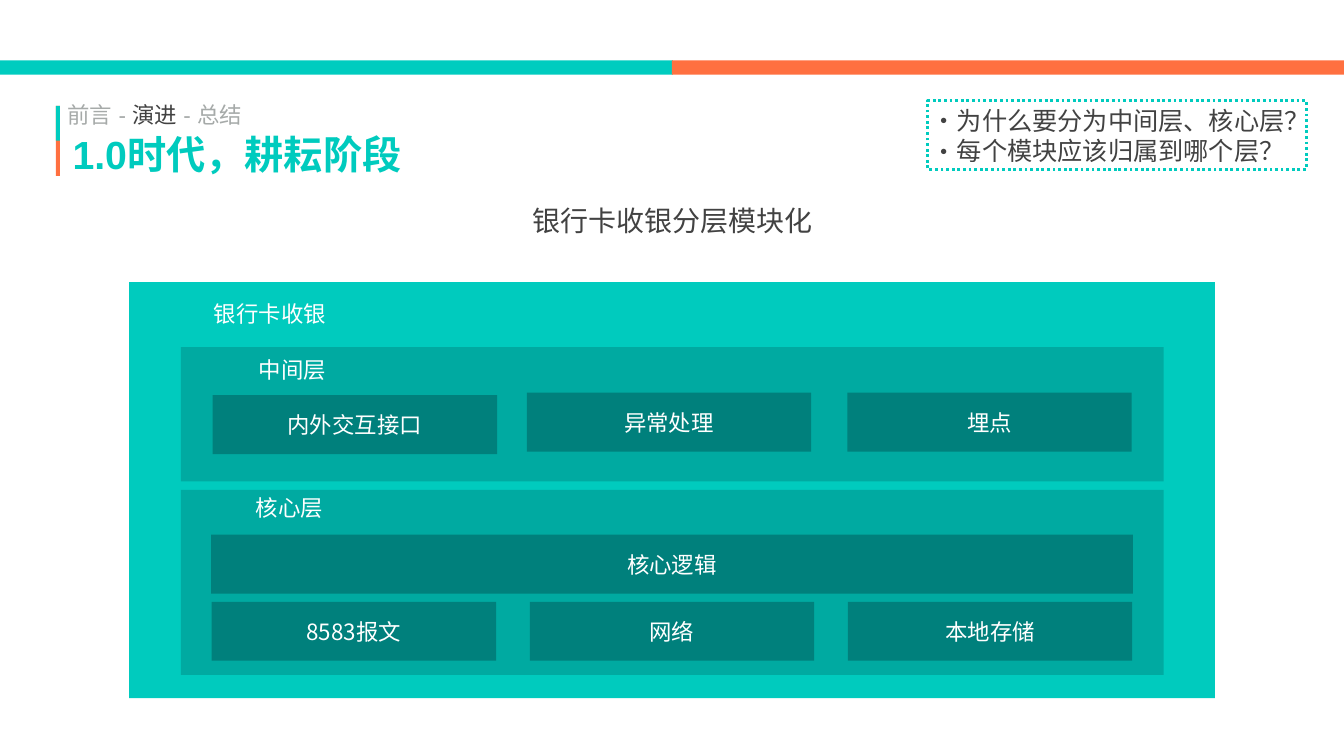
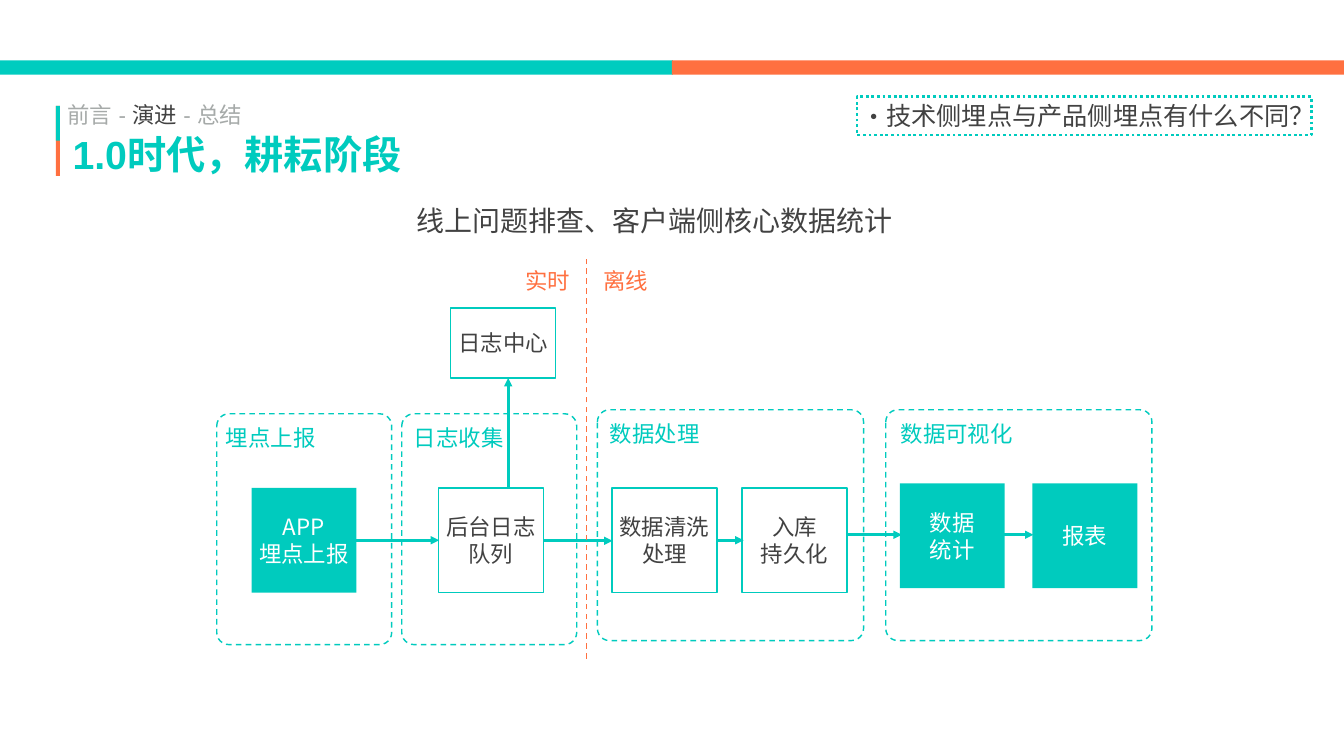
from lxml import etree
from pptx import Presentation
from pptx.dml.color import RGBColor
from pptx.enum.dml import MSO_LINE
from pptx.enum.shapes import MSO_CONNECTOR, MSO_SHAPE
from pptx.enum.text import MSO_ANCHOR, MSO_AUTO_SIZE, PP_ALIGN
from pptx.oxml.ns import qn
from pptx.util import Inches, Pt

RECT, ROUNDED = MSO_SHAPE.RECTANGLE, MSO_SHAPE.ROUNDED_RECTANGLE
STRAIGHT = MSO_CONNECTOR.STRAIGHT
DASH, DOTS = MSO_LINE.DASH, MSO_LINE.ROUND_DOT
LEFT, CENTER = PP_ALIGN.LEFT, PP_ALIGN.CENTER
TOP, MIDDLE = MSO_ANCHOR.TOP, MSO_ANCHOR.MIDDLE
FIT_TEXT = MSO_AUTO_SIZE.SHAPE_TO_FIT_TEXT

WIDTH, HEIGHT = 26.66, 15
BAND_TEAL, TEAL, MID_TEAL, DARK_TEAL = "00CCBF", "00CBBE", "00AAA1", "00807C"
ORANGE, GRAY, INK, WHITE = "FF7040", "A6AAA9", "424242", "FFFFFF"
HEADER_FONT, BODY_FONT = "Arial", "Noto Sans CJK SC"


def rgb(color):
    return RGBColor.from_string(color)


class Deck:
    def __init__(self):
        self.prs = Presentation()
        self.prs.slide_width = Inches(WIDTH)
        self.prs.slide_height = Inches(HEIGHT)
        self.slide = None

    def new_slide(self, subtitle, subtitle_box):
        self.slide = self.prs.slides.add_slide(self.prs.slide_layouts[6])
        half = WIDTH / 2
        self.box(0, 1.2, half + 0.02, 0.28, BAND_TEAL)
        self.box(half, 1.2, half, 0.28, ORANGE)
        self.breadcrumb()
        self.text(1.36, 2.51, 7.2, 1.09, "1.0时代，耕耘阶段", TEAL, 56,
                  HEADER_FONT, LEFT, TOP, bold=True)
        self.box(1.11, 2.1, 0.08, 1.39, ORANGE)
        self.box(1.11, 2.1, 0.08, 0.69, BAND_TEAL)
        self.text(*subtitle_box, subtitle, INK, 40)

    def breadcrumb(self):
        frame = self.text(1.26, 1.92, 4.05, 0.69, "", GRAY, 32, HEADER_FONT, LEFT, TOP)
        for part, color in (("前言 - ", GRAY), ("演进 ", INK), ("- 总结", GRAY)):
            run = frame.paragraphs[0].add_run()
            run.text = part
            run.font.color.rgb = rgb(color)

    def style_text(self, shape, text, color, size=32, font=BODY_FONT, align=CENTER,
                   anchor=MIDDLE, wrap=True, bold=False, bullets=False):
        frame = shape.text_frame
        frame.margin_left = frame.margin_right = Inches(0.08)
        frame.margin_top = frame.margin_bottom = Inches(0.08)
        frame.vertical_anchor = anchor
        frame.word_wrap = wrap
        if not wrap:
            frame.auto_size = FIT_TEXT
        frame.text = text
        for paragraph in frame.paragraphs:
            paragraph.alignment = align
            if bullets:
                self.bullet(paragraph, color)
            paragraph.font.name = font
            paragraph.font.size = Pt(size)
            paragraph.font.bold = bold
            paragraph.font.color.rgb = rgb(color)
            latin = paragraph._p.pPr.find(".//" + qn("a:latin"))
            east_asian = etree.Element(qn("a:ea"), typeface=font)
            latin.addnext(east_asian)
        return frame

    def bullet(self, paragraph, color):
        properties = paragraph._p.get_or_add_pPr()
        properties.set("marL", str(Inches(0.35)))
        properties.set("indent", str(Inches(-0.35)))
        bullet_color = etree.SubElement(properties, qn("a:buClr"))
        etree.SubElement(bullet_color, qn("a:srgbClr"), val=color)
        etree.SubElement(properties, qn("a:buFont"), typeface=BODY_FONT)
        etree.SubElement(properties, qn("a:buChar"), char="•")

    def text(self, left, top, width, height, text, color, size=32, font=BODY_FONT,
             align=CENTER, anchor=MIDDLE, wrap=False, bold=False):
        label = self.slide.shapes.add_textbox(
            Inches(left), Inches(top), Inches(width), Inches(height))
        return self.style_text(label, text, color, size, font, align, anchor, wrap, bold)

    def box(self, left, top, width, height, fill=None, text="", color=WHITE,
            line=None, weight=2, dash=None, kind=RECT):
        shape = self.slide.shapes.add_shape(
            kind, Inches(left), Inches(top), Inches(width), Inches(height))
        shape.shadow.inherit = False
        if fill:
            shape.fill.solid()
            shape.fill.fore_color.rgb = rgb(fill)
        else:
            shape.fill.background()
        if line:
            shape.line.color.rgb = rgb(line)
            shape.line.width = Pt(weight)
            if dash:
                shape.line.dash_style = dash
        else:
            shape.line.fill.background()
        if text:
            self.style_text(shape, text, color)
        return shape

    def stage(self, left, top, width, height):
        frame = self.box(left, top, width, height, WHITE, line=TEAL, dash=DASH, kind=ROUNDED)
        frame.adjustments[0] = 0.24 / min(width, height)

    def step(self, left, top, text, filled=False, height=2.08):
        if filled:
            self.box(left, top, 2.08, height, TEAL, text)
        else:
            self.box(left, top, 2.08, height, WHITE, text, INK, line=TEAL)

    def questions(self, left, top, width, height, text):
        callout = self.box(left, top, width, height, line=TEAL, weight=4, dash=DOTS)
        self.style_text(callout, text, INK, 36, align=LEFT, wrap=False, bullets=True)

    def connect(self, x1, y1, x2, y2, color=TEAL, weight=4, dash=None, arrow=True):
        link = self.slide.shapes.add_connector(
            STRAIGHT, Inches(x1), Inches(y1), Inches(x2), Inches(y2))
        link.line.color.rgb = rgb(color)
        link.line.width = Pt(weight)
        if dash:
            link.line.dash_style = dash
        if arrow:
            etree.SubElement(link.line._get_or_add_ln(), qn("a:tailEnd"), type="triangle")
        etree.SubElement(link._element.spPr, qn("a:effectLst"))


def layered_modules(deck):
    deck.new_slide("银行卡收银分层模块化", (10.38, 3.97, 5.91, 0.82))
    deck.box(2.56, 5.6, 21.54, 8.25, TEAL)
    for top, height in ((9.72, 3.67), (6.89, 2.66)):
        deck.box(3.59, top, 19.49, height, MID_TEAL)
    for left, top, width, height, name in (
        (3.43, 5.7, 3.85, 1.04, "银行卡收银"),
        (4.17, 6.86, 3.26, 0.96, "中间层"),
        (4.52, 9.65, 2.45, 0.85, "核心层"),
    ):
        deck.text(left, top, width, height, name, WHITE, wrap=True)
    deck.box(4.19, 10.61, 18.28, 1.17, DARK_TEAL, "核心逻辑")
    for left, top, module in (
        (4.22, 7.84, "内外交互接口"),
        (10.45, 7.79, "异常处理"),
        (16.81, 7.79, "埋点"),
    ):
        deck.box(left, top, 5.64, 1.17, DARK_TEAL, module)
    for column, module in enumerate(("8583报文", "网络", "本地存储")):
        deck.box(4.2 + 6.31 * column, 11.94, 5.64, 1.17, DARK_TEAL, module)
    deck.questions(18.4, 2, 7.51, 1.36,
                   "为什么要分为中间层、核心层？\n每个模块应该归属到哪个层？")


def tracking_pipeline(deck):
    deck.new_slide("线上问题排查、客户端侧核心数据统计", (7.99, 3.97, 9.99, 0.82))
    for left, top, width, label_left, label_width, name in (
        (4.3, 8.21, 3.47, 4.3, 2.14, "埋点上报"),
        (7.97, 8.21, 3.47, 8.03, 2.14, "日志收集"),
        (11.85, 8.13, 5.28, 11.92, 2.14, "数据处理"),
        (17.57, 8.13, 5.28, 17.64, 2.68, "数据可视化"),
    ):
        deck.stage(left, top, width, 4.58)
        deck.text(label_left, top + 0.12, label_width, 0.69, name, TEAL)

    deck.step(8.94, 6.11, "日志中心", height=1.39)
    for left, top, name, filled in (
        (4.99, 9.68, "APP\n埋点上报", True),
        (8.7, 9.68, "后台日志队列", False),
        (12.14, 9.68, "数据清洗处理", False),
        (14.72, 9.68, "入库\n持久化", False),
        (17.85, 9.59, "数据\n统计", True),
        (20.48, 9.59, "报表", True),
    ):
        deck.step(left, top, name, filled)

    for start, end, y in (
        (7.07, 8.71, 10.72),
        (10.8, 12.15, 10.73),
        (14.23, 14.75, 10.72),
        (16.82, 17.89, 10.61),
        (19.92, 20.5, 10.61),
    ):
        deck.connect(start, y, end, y)
    deck.connect(10.08, 9.7, 10.08, 7.5)

    deck.connect(11.64, 13.07, 11.64, 5.08, ORANGE, 2, DASH, arrow=False)
    for left, mode in ((10.34, "实时"), (11.89, "离线")):
        deck.text(left, 5.22, 1.05, 0.69, mode, ORANGE)
    deck.questions(17, 1.92, 9.01, 0.76, "技术侧埋点与产品侧埋点有什么不同？")


def main():
    deck = Deck()
    layered_modules(deck)
    tracking_pipeline(deck)
    deck.prs.save("out.pptx")


if __name__ == "__main__":
    main()
